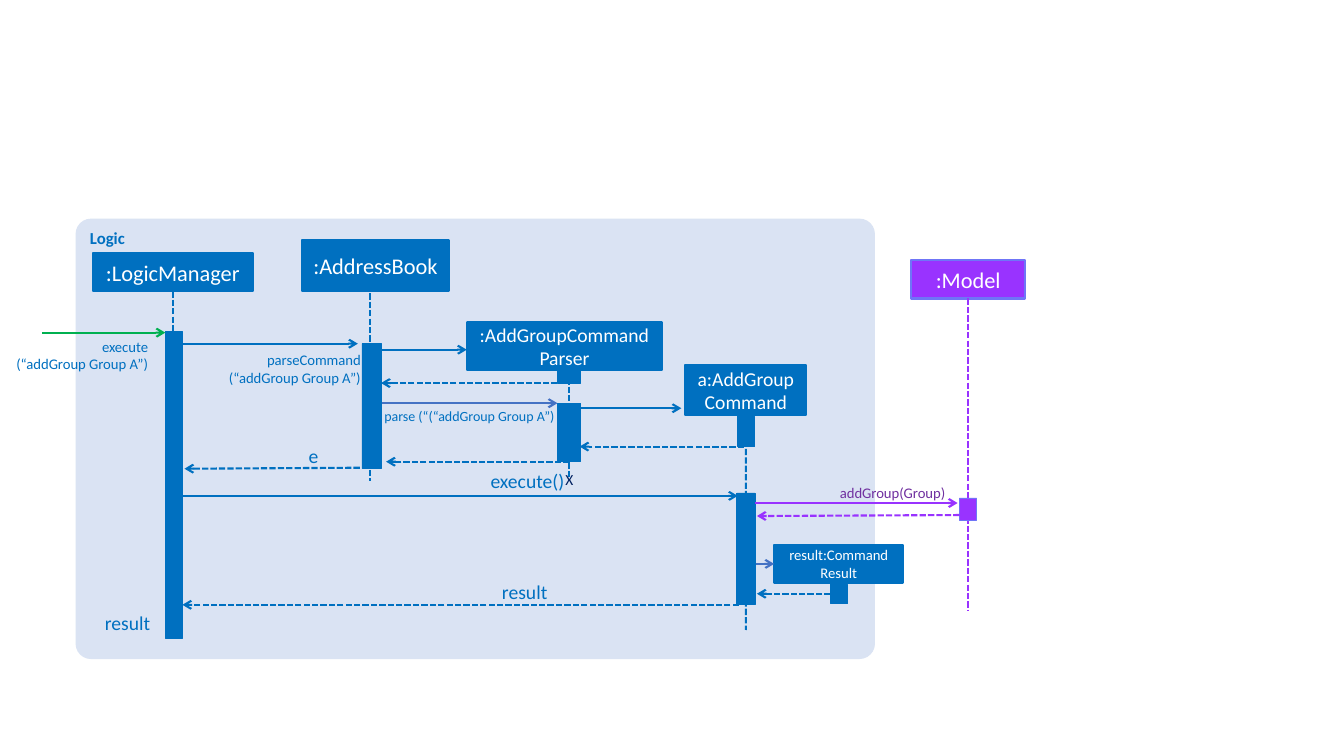
from lxml import etree
from pptx import Presentation
from pptx.dml.color import RGBColor
from pptx.enum.dml import MSO_LINE
from pptx.enum.shapes import MSO_CONNECTOR, MSO_SHAPE
from pptx.enum.text import MSO_ANCHOR, MSO_AUTO_SIZE, PP_ALIGN
from pptx.oxml.ns import qn
from pptx.util import Pt

RECT, ROUNDED = MSO_SHAPE.RECTANGLE, MSO_SHAPE.ROUNDED_RECTANGLE
LEFT, CENTER, RIGHT = PP_ALIGN.LEFT, PP_ALIGN.CENTER, PP_ALIGN.RIGHT
TOP, MIDDLE = MSO_ANCHOR.TOP, MSO_ANCHOR.MIDDLE
STRAIGHT, DASH = MSO_CONNECTOR.STRAIGHT, MSO_LINE.SQUARE_DOT
GROW = MSO_AUTO_SIZE.SHAPE_TO_FIT_TEXT
TOP_SIDE, LEFT_SIDE, BOTTOM_SIDE = 0, 1, 2

COLORS = {
    "panel": "DAE3F3", "logic": "0070C0", "model": "9933FF",
    "model_edge": "6F75F7", "caller": "00B050", "accent": "4472C4",
    "model_text": "7030A0", "destroy": "002060", "white": "FFFFFF",
}


def rgb(name):
    return RGBColor.from_string(COLORS[name])


class SequenceDiagram:
    font = "Calibri"
    line_width = 1.5

    def __init__(self, slide):
        self.shapes = slide.shapes

    def set_text(self, frame, text, size, color, align, bold=False):
        frame.text = text
        for paragraph in frame.paragraphs:
            paragraph.alignment = align
            font = paragraph.font
            font.name, font.size, font.bold = self.font, Pt(size), bold
            font.color.rgb = rgb(color)

    def block(self, place, fill, edge=None, width=line_width, kind=RECT):
        shape = self.shapes.add_shape(kind, *map(Pt, place))
        shape.shadow.inherit = False
        shape.fill.solid()
        shape.fill.fore_color.rgb = rgb(fill)
        if edge:
            shape.line.color.rgb = rgb(edge)
            shape.line.width = Pt(width)
        else:
            shape.line.fill.background()
        return shape

    def panel(self, place, title):
        shape = self.block(place, "panel", kind=ROUNDED)
        shape.adjustments[0] = 0.035
        shape.text_frame.vertical_anchor = TOP
        self.set_text(shape.text_frame, title, 12, "logic", LEFT, bold=True)

    def participant(self, place, text, size, fill="logic", edge="logic"):
        shape = self.block(place, fill, edge)
        shape.text_frame.word_wrap = True
        shape.text_frame.vertical_anchor = MIDDLE
        self.set_text(shape.text_frame, text, size, "white", CENTER)
        return shape

    def activation(self, place, fill="logic", edge="logic"):
        return self.block(place, fill, edge, width=0.5)

    def line(self, start, end, color, dashed=False):
        connector = self.shapes.add_connector(STRAIGHT, *map(Pt, start + end))
        connector.line.color.rgb = rgb(color)
        connector.line.width = Pt(self.line_width)
        if dashed:
            connector.line.dash_style = DASH
        etree.SubElement(connector._element.spPr, qn("a:effectLst"))
        return connector

    def lifeline(self, owner, side, foot, color="logic"):
        x = (owner.left + owner.width / 2) / Pt(1)
        connector = self.line((x, foot), (x, foot), color, dashed=True)
        connector.begin_connect(owner, side)

    def message(self, start, end, color="logic", dashed=False):
        connector = self.line(start, end, color, dashed)
        outline = connector._element.spPr.find(qn("a:ln"))
        etree.SubElement(outline, qn("a:tailEnd")).set("type", "arrow")
        return connector

    def label(self, place, text, size, color="logic"):
        frame = self.shapes.add_textbox(*map(Pt, place)).text_frame
        frame.margin_left = frame.margin_right = 0
        frame.margin_top = frame.margin_bottom = 0
        frame.word_wrap = True
        frame.auto_size = GROW
        self.set_text(frame, text, size, color, RIGHT)

    def destroy_mark(self, place):
        frame = self.shapes.add_textbox(*map(Pt, place)).text_frame
        frame.word_wrap = False
        frame.auto_size = GROW
        self.set_text(frame, "X", 11, "destroy", LEFT)


def main():
    prs = Presentation()
    prs.slide_width, prs.slide_height = Pt(960), Pt(540)
    diagram = SequenceDiagram(prs.slides.add_slide(prs.slide_layouts[6]))

    # Logic component
    diagram.panel((54, 156.2, 571, 314.6), "Logic")

    # Participants
    logic_manager = diagram.participant((66.2, 180.7, 114.5, 27.4), ":LogicManager", 16)
    diagram.participant((216, 171.4, 104.4, 36.7), ":AddressBook", 16)
    diagram.participant((333.4, 230.4, 139.7, 33.8), ":AddGroupCommand\nParser", 14)
    add_command = diagram.participant((489.6, 260.6, 86.4, 36), "a:AddGroup\vCommand", 14)
    command_result = diagram.participant((553, 389.5, 92.2, 26.6), "result:Command Result", 10.5)
    model = diagram.participant((650.9, 185.8, 81.4, 27.4), ":Model", 16, "model", "model_edge")

    # Lifelines
    parser_creation = diagram.activation((398.2, 264.2, 16.6, 9.4))
    diagram.lifeline(logic_manager, BOTTOM_SIDE, 414)
    diagram.line((264.2, 209.5), (264.2, 343.4), "logic", dashed=True)
    diagram.lifeline(parser_creation, TOP_SIDE, 342)
    diagram.lifeline(add_command, BOTTOM_SIDE, 450)
    diagram.lifeline(model, BOTTOM_SIDE, 435.6, "model")

    # Activation bars
    for place in (
        (118.1, 236.9, 12.2, 218.9),  # LogicManager
        (258.5, 245.5, 13.7, 89.3),   # AddressBook
        (398.2, 288, 16.6, 41.8),     # parser
        (527, 297.4, 12.2, 21.6),     # command creation
        (526.3, 352.1, 13, 79.9),     # command execution
        (593.3, 417.6, 12.2, 13.7),   # result creation
    ):
        diagram.activation(place)
    diagram.activation((685.4, 355.7, 12.2, 15.8), "model", "model_edge")

    # Calls
    for start, end, color in (
        ((30.2, 237.6), (118.1, 237.6), "caller"),
        ((130.3, 245.5), (255.6, 245.5), "logic"),
        ((268.6, 249.8), (333.4, 249.8), "logic"),
        ((272.9, 288), (398.2, 288), "accent"),
        ((414, 291.6), (486.7, 291.6), "logic"),
        ((130.3, 354.2), (527, 354.2), "logic"),
        ((539.3, 359.3), (684, 359.3), "model"),
    ):
        diagram.message(start, end, color)
    result_creation = diagram.message((540, 402.8), (553, 402.8), "accent")
    result_creation.end_connect(command_result, LEFT_SIDE)

    # Returns
    for start, end, color in (
        ((398.2, 273.6), (272.2, 273.6), "logic"),
        ((531.4, 319), (414, 319), "logic"),
        ((406.8, 329.8), (275.8, 329.8), "logic"),
        ((257, 334.1), (131.8, 334.8), "logic"),
        ((685.4, 367.9), (540.7, 368.6), "model"),
        ((593.3, 424.1), (540.7, 424.1), "logic"),
        ((527.8, 432), (130.3, 432), "logic"),
    ):
        diagram.message(start, end, color, dashed=True)

    # Message labels
    for place, text, size in (
        ((-17.3, 241.2, 123.1, 25.2), "execute\n(“addGroup Group A”)", 10.5),
        ((134.6, 250.6, 123.1, 25.2), "parseCommand\n(“addGroup Group A”)", 10.5),
        ((269.3, 290.9, 126.7, 24.5), "parse (“(“addGroup Group A”)", 10),
        ((210.2, 316.8, 17.3, 17.3), "e", 14),
        ((335.5, 334.8, 67.7, 17.3), "execute()", 14),
        ((342, 414, 49, 17.3), "result", 14),
        ((47.5, 436.3, 59.8, 17.3), "result", 14),
    ):
        diagram.label(place, text, size)
    diagram.label((563, 345.6, 112.3, 13), "addGroup(Group)", 10.5, "model_text")
    diagram.destroy_mark((396.7, 331.9, 20.2, 20.9))

    prs.save("out.pptx")


if __name__ == "__main__":
    main()
